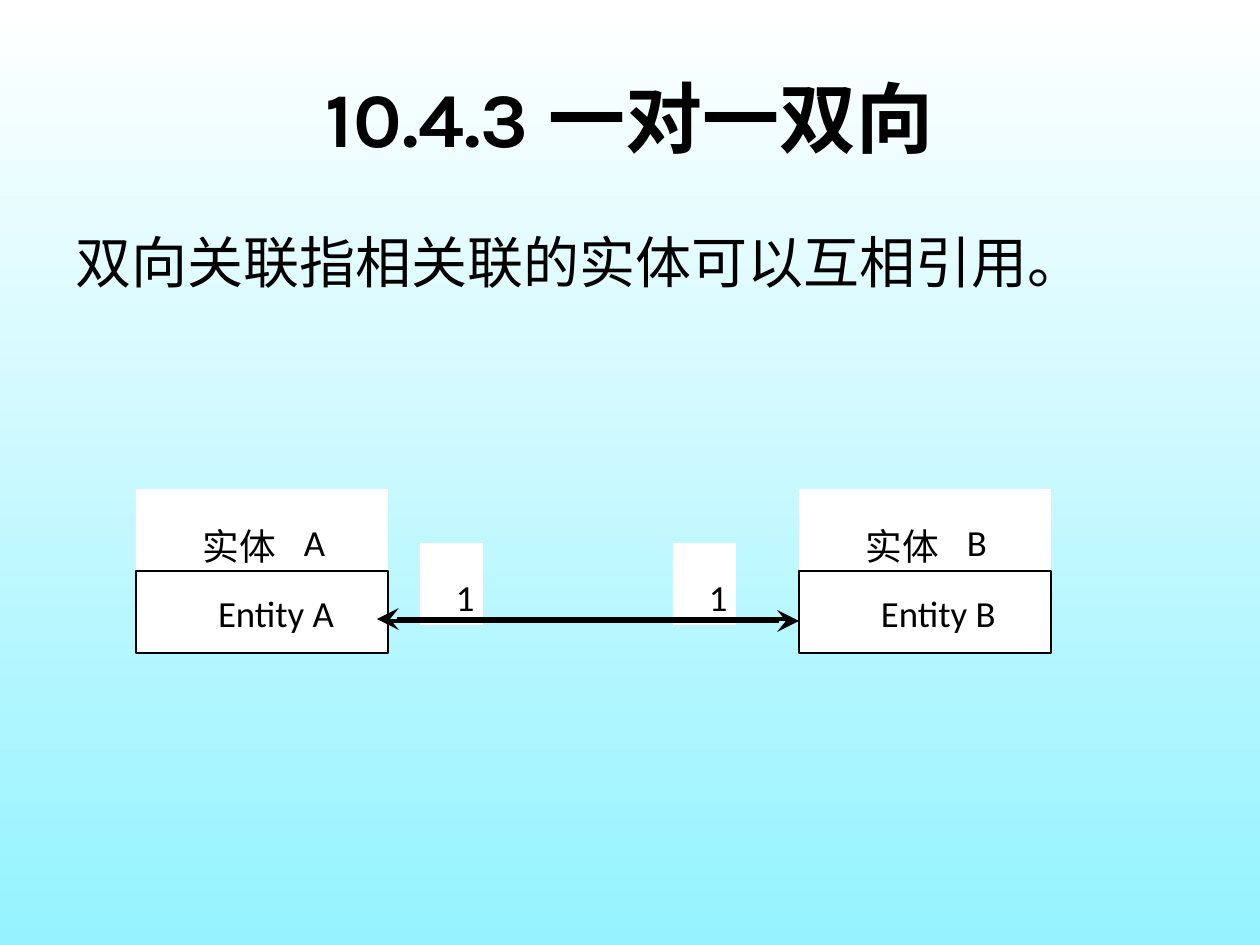
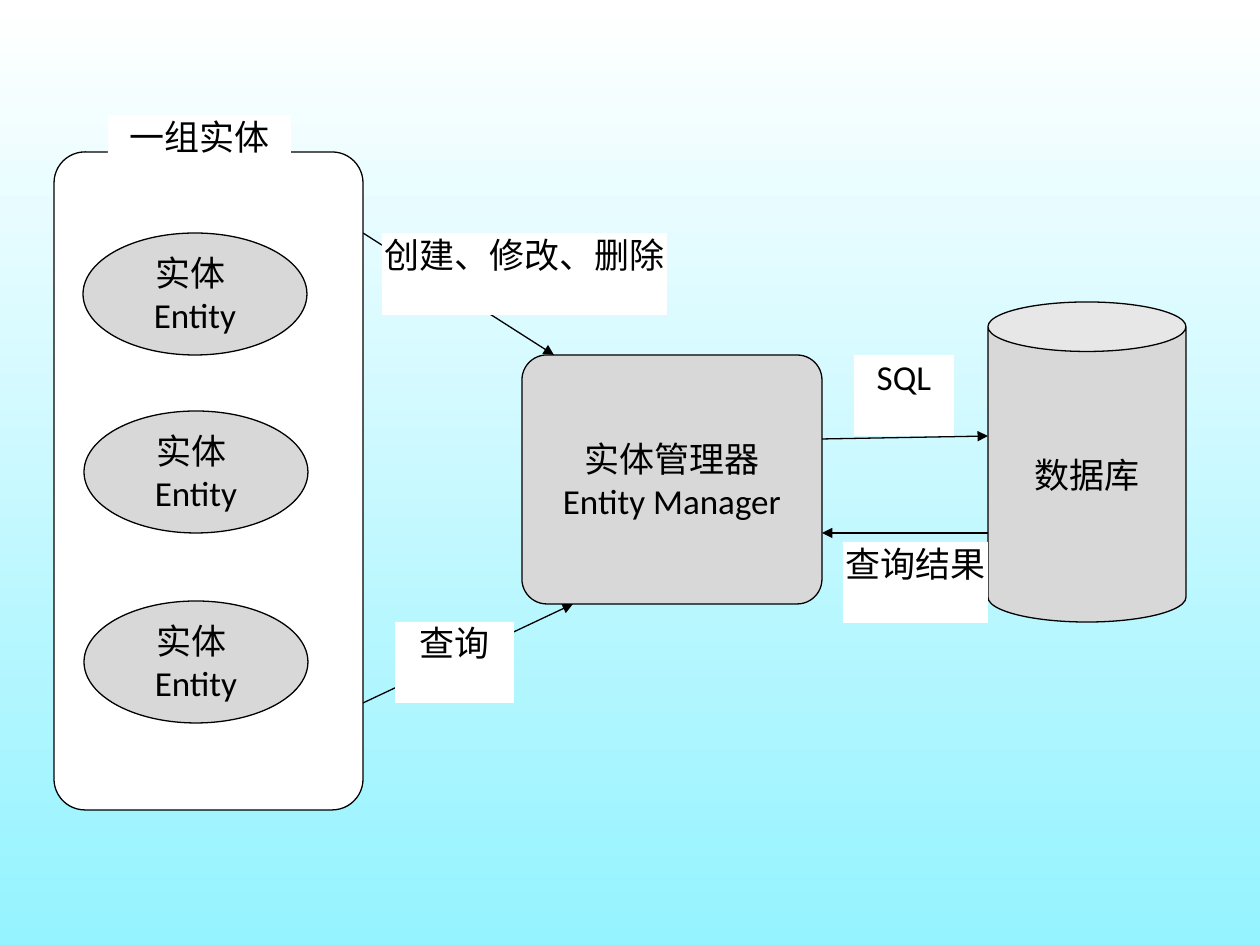
import dataclasses

import pptx
import pptx.dml.color
import pptx.enum.shapes
import pptx.enum.text
import pptx.oxml.ns
import pptx.util
from lxml import etree

EMU_PER_PX = 914400 // 126
SHAPES = pptx.enum.shapes.MSO_SHAPE
ANCHORS = pptx.enum.text.MSO_ANCHOR
ALIGN = pptx.enum.text.PP_ALIGN


@dataclasses.dataclass(frozen=True)
class Theme:
    ink: str = "000000"
    paper: str = "FFFFFF"
    sky: str = "94F3FF"
    grey: str = "D8D8D8"
    latin: str = "Calibri"
    heading: str = "Karla"
    chinese: str = "Noto Sans CJK SC"
    title_size: int = 44
    body_size: int = 32
    entity_size: int = 21
    diagram_size: int = 20
    thin: float = 0.75
    frame: float = 1.5
    bar: float = 2.5


THEME = Theme()

# One-to-one slide
TITLE = "10.4.3 一对一双向"
STATEMENT = "双向关联指相关联的实体可以互相引用。"
ENTITIES = [("A", 136), ("B", 799)]
ENTITY_WIDTH, ENTITY_HEIGHT = 252, 82
CAPTION_TOP = 489
CARDINALITIES = [("1", 420), ("1", 673)]
REFERENCES = [((387, 621), (799, 621)), ((789, 619), (377, 619))]

# Entity manager slide
ENTITY_GROUP = (54, 152, 309, 658)
ENTITY_OVALS = [(83, 233), (84, 411), (84, 601)]
OVAL_SIZE = (224, 122)
OVAL_TEXT = "实体 \vEntity"
MANAGER = ("实体管理器\nEntity Manager", (522, 355, 300, 249))
DATABASE = ("数据库", (988, 302, 198, 320))
FLOWS = [
    ((363, 233), (554, 355)),
    ((363, 703), (573, 604)),
    ((822, 439), (988, 436)),
    ((988, 533), (822, 533)),
]
FLOW_LABELS = [
    ("一组实体", (108, 115, 183, 81)),
    ("创建、修改、删除", (382, 233, 285, 82)),
    ("查询", (395, 622, 119, 81)),
    ("SQL", (854, 355, 100, 81)),
    ("查询结果", (843, 542, 145, 81)),
]


def px(*lengths):
    return [pptx.util.Emu(length * EMU_PER_PX) for length in lengths]


def rgb(colour):
    return pptx.dml.color.RGBColor.from_string(colour)


def write(frame, text, size, font=THEME.latin, align=ALIGN.LEFT, bold=False):
    frame.text = text
    for paragraph in frame.paragraphs:
        paragraph.alignment = align
        paragraph.font.size = pptx.util.Pt(size)
        paragraph.font.bold = bold
        paragraph.font.name = font
        paragraph.font.color.rgb = rgb(THEME.ink)
        defaults = paragraph._p.find(".//" + pptx.oxml.ns.qn("a:defRPr"))
        east_asian = etree.SubElement(defaults, pptx.oxml.ns.qn("a:ea"))
        east_asian.set("typeface", THEME.chinese)


def no_insets(frame):
    frame.margin_left = frame.margin_right = 0
    frame.margin_top = frame.margin_bottom = 0


def add_text(slide, box, text, size, **style):
    frame = slide.shapes.add_textbox(*px(*box)).text_frame
    frame.word_wrap = True
    write(frame, text, size, **style)
    return frame


def add_tag(slide, left, top, width, text, font=THEME.latin):
    """Place a single line of text without insets."""
    box = (left, top, width, 44)
    no_insets(add_text(slide, box, text, THEME.entity_size, font=font))


def add_block(slide, kind, box, fill=THEME.paper, line=None, text=None,
              anchor=ANCHORS.MIDDLE):
    block = slide.shapes.add_shape(kind, *px(*box))
    block.shadow.inherit = False
    block.fill.solid()
    block.fill.fore_color.rgb = rgb(fill)
    if line:
        block.line.color.rgb = rgb(THEME.ink)
        block.line.width = pptx.util.Pt(line)
    else:
        block.line.fill.background()
    if text:
        frame = block.text_frame
        frame.word_wrap = True
        frame.vertical_anchor = anchor
        no_insets(frame)
        write(frame, text, THEME.diagram_size, align=ALIGN.CENTER)
    return block


def add_arrow(slide, start, end, width, head, head_size):
    arrow = slide.shapes.add_connector(
        pptx.enum.shapes.MSO_CONNECTOR.STRAIGHT, *px(*start, *end))
    arrow.line.color.rgb = rgb(THEME.ink)
    arrow.line.width = pptx.util.Pt(width)
    etree.SubElement(arrow.line._get_or_add_ln(), pptx.oxml.ns.qn("a:tailEnd"),
                     type=head, w=head_size, len=head_size)
    etree.SubElement(arrow._element.spPr, pptx.oxml.ns.qn("a:effectLst"))


def add_slide(deck):
    slide = deck.slides.add_slide(deck.slide_layouts[6])
    backdrop = slide.background.fill
    backdrop.gradient()
    backdrop.gradient_angle = 270
    for stop, colour in zip(backdrop.gradient_stops, (THEME.paper, THEME.sky)):
        stop.color.rgb = rgb(colour)
    return slide


def build_one_to_one(deck):
    slide = add_slide(deck)
    heading = add_text(slide, (63, 38, 1134, 158), TITLE, THEME.title_size,
                       font=THEME.heading, align=ALIGN.CENTER, bold=True)
    heading.vertical_anchor = ANCHORS.MIDDLE
    add_text(slide, (63, 221, 1134, 624), STATEMENT, THEME.body_size,
             font=THEME.chinese)
    for count, left in CARDINALITIES:
        add_block(slide, SHAPES.RECTANGLE, (left, 543, 63, ENTITY_HEIGHT))
        add_tag(slide, left + 36, 575, 24, count)
    frame_top = CAPTION_TOP + ENTITY_HEIGHT
    for letter, left in ENTITIES:
        add_block(slide, SHAPES.RECTANGLE,
                  (left, CAPTION_TOP, ENTITY_WIDTH, ENTITY_HEIGHT))
        add_tag(slide, left + 67, CAPTION_TOP + 35, 80, "实体", THEME.chinese)
        add_tag(slide, left + 168, CAPTION_TOP + 31, 24, letter)
        add_block(slide, SHAPES.RECTANGLE,
                  (left, frame_top, ENTITY_WIDTH, ENTITY_HEIGHT), line=THEME.frame)
        add_tag(slide, left + 82, frame_top + 20, 130, f"Entity {letter}")
    for start, end in REFERENCES:
        add_arrow(slide, start, end, THEME.bar, "stealth", "lg")


def build_entity_manager(deck):
    slide = add_slide(deck)
    for start, end in FLOWS:
        add_arrow(slide, start, end, THEME.thin, "triangle", "med")
    group = add_block(slide, SHAPES.ROUNDED_RECTANGLE, ENTITY_GROUP, line=THEME.thin)
    group.adjustments[0] = 0.1
    for corner in ENTITY_OVALS:
        add_block(slide, SHAPES.OVAL, corner + OVAL_SIZE, THEME.grey, THEME.thin,
                  OVAL_TEXT)
    manager_text, manager_box = MANAGER
    manager = add_block(slide, SHAPES.ROUNDED_RECTANGLE, manager_box, THEME.grey,
                        THEME.thin, manager_text)
    manager.adjustments[0] = 0.1
    database_text, database_box = DATABASE
    add_block(slide, SHAPES.CAN, database_box, THEME.grey, THEME.thin, database_text)
    for label, box in FLOW_LABELS:
        add_block(slide, SHAPES.RECTANGLE, box, text=label, anchor=ANCHORS.TOP)


def main():
    deck = pptx.Presentation()
    deck.slide_width, deck.slide_height = px(1260, 945)
    build_one_to_one(deck)
    build_entity_manager(deck)
    deck.save("out.pptx")


if __name__ == "__main__":
    main()
